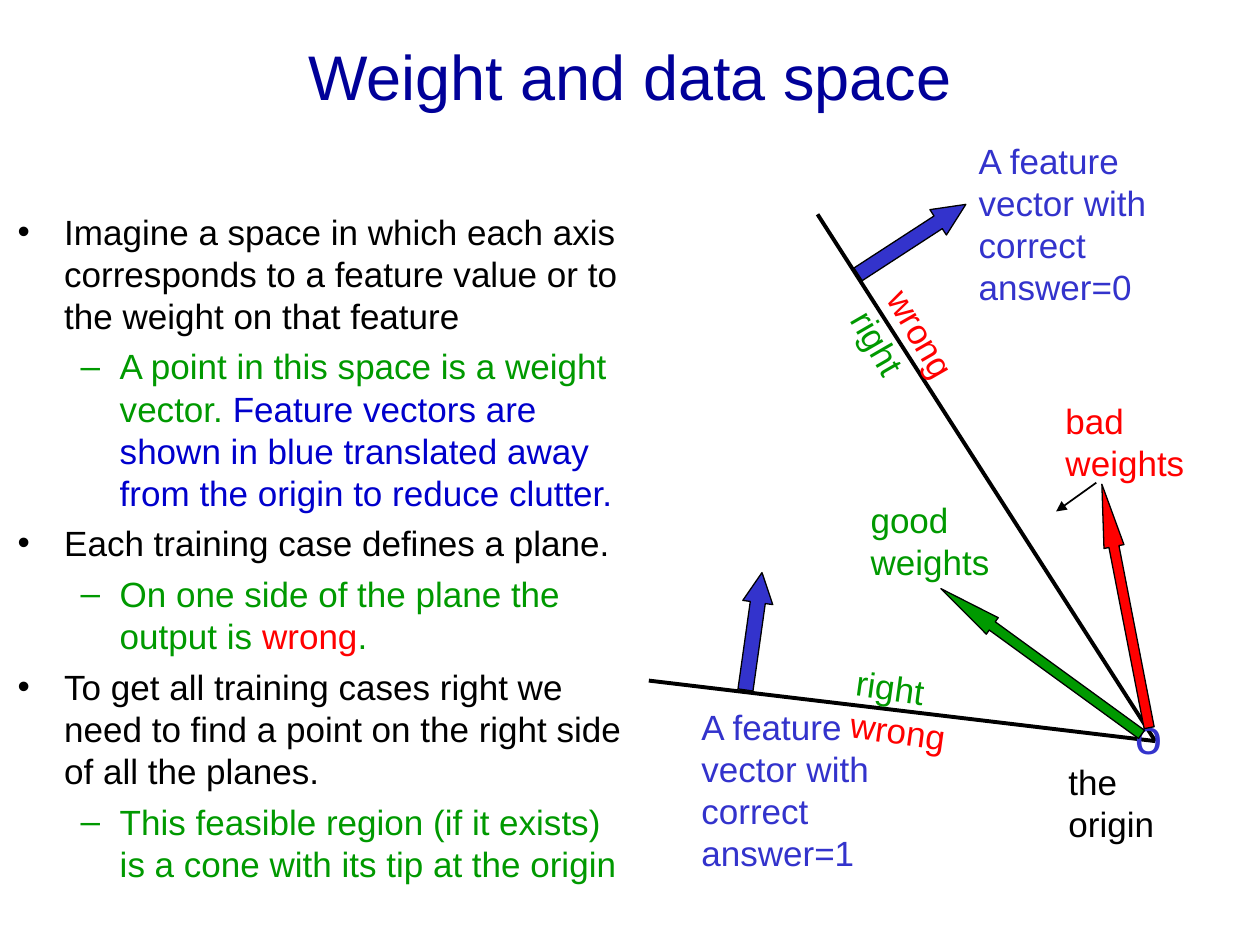
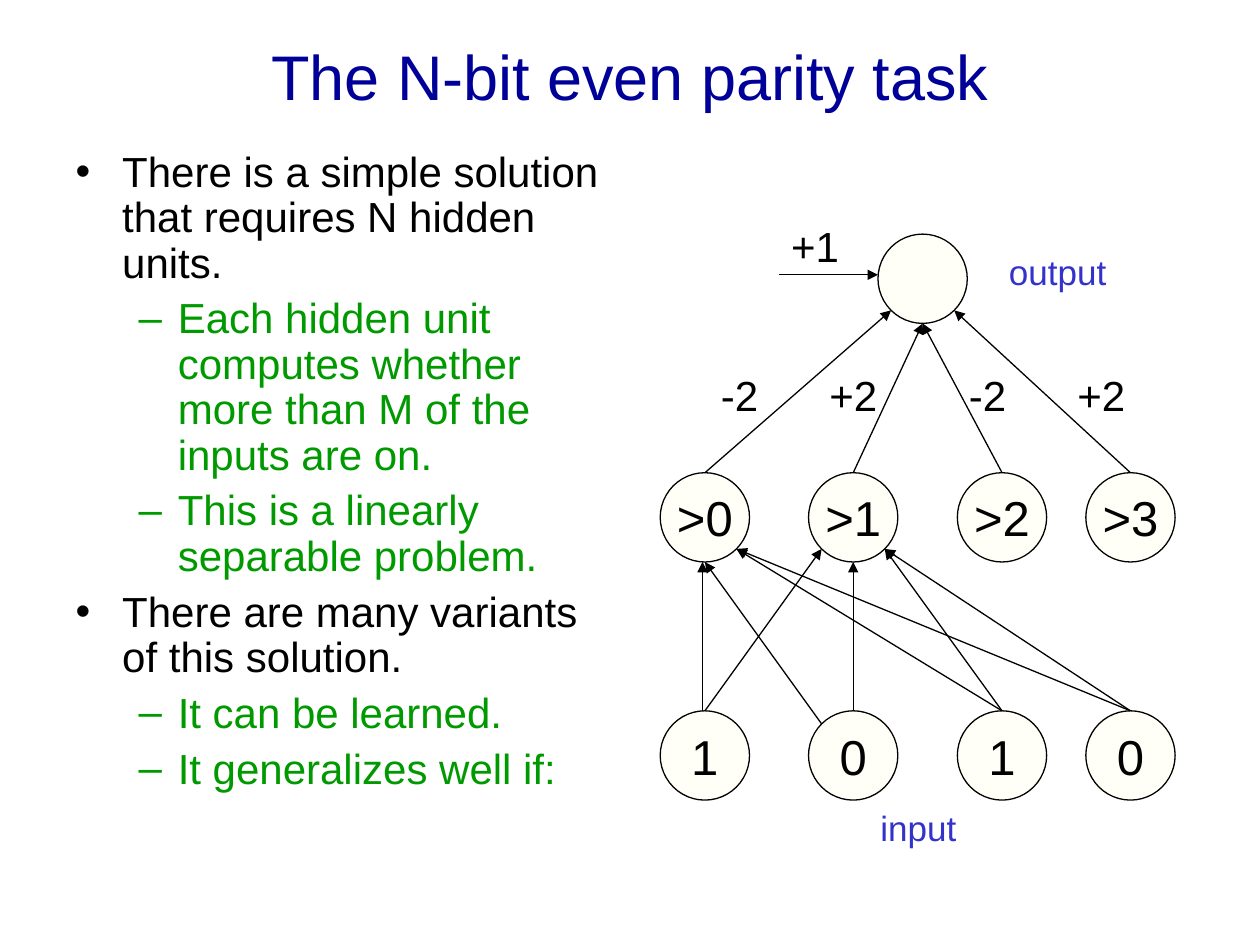
from math import cos, pi, sin

from lxml.etree import SubElement
from pptx import Presentation
from pptx.dml.color import RGBColor
from pptx.enum.shapes import MSO_CONNECTOR as Connector, MSO_SHAPE as Shape
from pptx.enum.text import MSO_ANCHOR as Anchor, MSO_AUTO_SIZE as AutoSize, PP_ALIGN as Align
from pptx.oxml.ns import qn
from pptx.util import Cm, Pt

FONT = "Arial"
BLACK, NAVY, BLUE, INDIGO = "000000", "000099", "0000CC", "3333CC"
GREEN, RED, IVORY = "009900", "FF0000", "FFFFF7"
TITLE_BOX = (1.27, -0.08, 22.86, 3.18)
# Per list level: bullet, its colour, left margin, hanging indent
LEVELS = [("•", BLACK, 0.94, -0.94), ("–", GREEN, 2.06, -0.79)]

# Lists: (level, [(text, colour), ...])
SPACE_TITLE = "Weight and data space"
SPACE_LIST = [
    (0, [("Imagine a space in which each axis corresponds to a feature value "
          "or to the weight on that feature", BLACK)]),
    (1, [("A point in this space is a weight vector. ", GREEN),
         ("Feature vectors are shown in blue translated away from the origin "
          "to reduce clutter.", BLUE)]),
    (0, [("Each training case defines a plane.", BLACK)]),
    (1, [("On one side of the plane the output is ", GREEN), ("wrong", RED), (".", GREEN)]),
    (0, [("To get all training cases right we need to find a point on the "
          "right side of all the planes.", BLACK)]),
    (1, [("This feasible region (if it exists) is a cone with its tip at the origin", GREEN)]),
]
ORIGIN = (23.29, 14.94)
PLANE_ENDS = [(13.08, 13.72), (16.48, 4.32)]
BAD_POINTER = ((22.1, 9.73), (21.29, 10.31))
# Labels: box, rotation, lines of (text, colour)
SPACE_LABELS = [
    ((16.89, 13.34, 2.59, 2.79), 8, [("right", GREEN), ("wrong", RED)]),
    ((16.59, 5.82, 2.59, 2.79), 60, [("wrong", RED), ("right", GREEN)]),
    ((13.89, 14.1, 4.39, 3.66), 0, [("A feature vector with correct answer=1", INDIGO)]),
    ((19.48, 2.69, 4.39, 3.66), 0, [("A feature vector with correct answer=0", INDIGO)]),
    ((21.23, 7.92, 2.9, 1.96), 0, [("bad", RED), ("weights", RED)]),
    ((17.3, 9.93, 2.9, 1.96), 0, [("good", GREEN), ("weights", GREEN)]),
    ((21.29, 15.21, 3.4, 1.12), 0, [("the origin", BLACK)]),
]
# Vectors: box, rotation, head length, colour
VECTORS = [
    ((20.19, 12.01, 5, 0.41), 259, 3.12, RED),
    ((18.49, 13.13, 5, 0.41), 216, 3.12, GREEN),
    ((14, 12.42, 2.39, 0.61), 278, 1, INDIGO),
    ((17.09, 4.52, 2.59, 0.61), 327, 1.09, INDIGO),
]

PARITY_TITLE = "The N-bit even parity task"
PARITY_LIST = [
    (0, [("There is a simple solution that requires N hidden units.", BLACK)]),
    (1, [("Each hidden unit computes whether more than M of the inputs are on.", GREEN)]),
    (1, [("This is a linearly separable problem.", GREEN)]),
    (0, [("There are many variants of this solution.", BLACK)]),
    (1, [("It can be learned.", GREEN)]),
    (1, [("It generalizes well if:", GREEN)]),
]
UNIT_SIZE = 1.8
UNIT_COLUMNS = [13.31, 16.3, 19.3, 21.89]
HIDDEN_TOP, INPUT_TOP = 9.53, 14.33
HIDDEN_UNITS = [">0", ">1", ">2", ">3"]
INPUT_UNITS = ["1", "0", "1", "0"]
OUTPUT_UNIT = (17.7, 4.72)
BIAS_START = (15.7, 5.54)
WEIGHTS = [("-2", 14.91), ("+2", 17.2), ("-2", 19.91), ("+2", 22.2)]
WEIGHT_TOP = 7.32
# Clockwise from the right, in degrees
TOP, TOP_LEFT, BOTTOM, BOTTOM_LEFT, BOTTOM_RIGHT = 270, 225, 90, 135, 45
OUTPUT_SITES = [BOTTOM_LEFT, BOTTOM, BOTTOM, BOTTOM_RIGHT]
# Links: input index, its site, hidden index, its site
INPUT_LINKS = [
    (0, 267, 0, 93), (1, TOP_LEFT, 0, BOTTOM),
    (2, TOP, 0, BOTTOM_RIGHT), (3, TOP, 0, BOTTOM_RIGHT),
    (0, TOP, 1, BOTTOM_LEFT), (1, TOP, 1, BOTTOM),
    (2, TOP, 1, BOTTOM_RIGHT), (3, TOP, 1, BOTTOM_RIGHT),
]


def rgb(color):
    return RGBColor.from_string(color)


def lengths(values):
    return [Cm(value) for value in values]


def write(paragraph, text, size=20, color=BLACK, align=None):
    run = paragraph.add_run()
    run.text = text
    run.font.name, run.font.size = FONT, Pt(size)
    run.font.color.rgb = rgb(color)
    if align is not None:
        paragraph.alignment = align


def move(shape, box):
    shape.left, shape.top, shape.width, shape.height = lengths(box)


def add_label(slide, box, lines, rotation=0, wrap=True, **text_format):
    label = slide.shapes.add_textbox(*lengths(box))
    label.rotation = rotation
    frame = label.text_frame
    frame.word_wrap = wrap
    for index, (text, color) in enumerate(lines):
        paragraph = frame.add_paragraph() if index else frame.paragraphs[0]
        write(paragraph, text, color=color, **text_format)


def add_preset(slide, preset, box, fill):
    shape = slide.shapes.add_shape(preset, *lengths(box))
    shape.shadow.inherit = False
    shape.fill.solid()
    shape.fill.fore_color.rgb = rgb(fill)
    shape.line.color.rgb = rgb(BLACK)
    shape.line.width = Pt(0.75)
    return shape


def add_line(slide, start, end, width=0.75, arrow=True):
    line = slide.shapes.add_connector(Connector.STRAIGHT, *lengths((*start, *end)))
    line.line.color.rgb = rgb(BLACK)
    line.line.width = Pt(width)
    if arrow:
        SubElement(line.line._get_or_add_ln(), qn("a:tailEnd"), type="triangle")
    SubElement(line._element.spPr, qn("a:effectLst"))


def set_bullet(paragraph, level):
    bullet, color, margin, indent = LEVELS[level]
    paragraph.level = level
    properties = paragraph._p.get_or_add_pPr()
    properties.set("marL", str(Cm(margin)))
    properties.set("indent", str(Cm(indent)))
    bullet_color = SubElement(properties, qn("a:buClr"))
    SubElement(bullet_color, qn("a:srgbClr"), val=color)
    SubElement(properties, qn("a:buFont"), typeface=FONT)
    SubElement(properties, qn("a:buChar"), char=bullet)


def add_list_slide(presentation, title, items, box, size, space_before, line_spacing=1.0):
    slide = presentation.slides.add_slide(presentation.slide_layouts[1])
    heading, body = slide.shapes.title, slide.placeholders[1]
    move(heading, TITLE_BOX)
    heading.text_frame.vertical_anchor = Anchor.MIDDLE
    write(heading.text_frame.paragraphs[0], title, size=36, color=NAVY, align=Align.CENTER)
    move(body, box)
    frame = body.text_frame
    frame.auto_size = AutoSize.NONE
    for index, (level, runs) in enumerate(items):
        paragraph = frame.add_paragraph() if index else frame.paragraphs[0]
        paragraph.line_spacing = line_spacing
        paragraph.space_before = Pt(space_before)
        set_bullet(paragraph, level)
        for text, color in runs:
            write(paragraph, text, size=size, color=color)
    return slide


def add_unit(slide, corner, text=""):
    unit = add_preset(slide, Shape.OVAL, (*corner, UNIT_SIZE, UNIT_SIZE), IVORY)
    frame = unit.text_frame
    frame.margin_left = frame.margin_right = frame.margin_top = frame.margin_bottom = 0
    frame.word_wrap = False
    frame.vertical_anchor = Anchor.MIDDLE
    if text:
        write(frame.paragraphs[0], text, size=28, align=Align.CENTER)


def rim(corner, degrees):
    """Point on the rim of the unit whose box starts at corner."""
    radius, angle = UNIT_SIZE / 2, degrees * pi / 180
    return (corner[0] + radius * (1 + cos(angle)), corner[1] + radius * (1 + sin(angle)))


def build_space_slide(presentation):
    slide = add_list_slide(presentation, SPACE_TITLE, SPACE_LIST,
                           (0.1, 4.11, 12.8, 14.6), size=20, space_before=5)
    for end in PLANE_ENDS:
        add_line(slide, end, ORIGIN, width=2.25, arrow=False)
    add_line(slide, *BAD_POINTER, width=1)
    add_label(slide, (22.63, 14.1, 1.04, 1.45), [("o", INDIGO)], wrap=False, size=28)
    for box, rotation, head, color in VECTORS:
        vector = add_preset(slide, Shape.RIGHT_ARROW, box, color)
        vector.rotation = rotation
        vector.adjustments[1] = head
    for box, rotation, lines in SPACE_LABELS:
        add_label(slide, box, lines, rotation)


def build_parity_slide(presentation):
    slide = add_list_slide(presentation, PARITY_TITLE, PARITY_LIST,
                           (1.27, 2.92, 11.23, 14.1), size=24, space_before=6,
                           line_spacing=0.9)
    hidden = [(left, HIDDEN_TOP) for left in UNIT_COLUMNS]
    inputs = [(left, INPUT_TOP) for left in UNIT_COLUMNS]
    for corner, text in zip(hidden + inputs, HIDDEN_UNITS + INPUT_UNITS):
        add_unit(slide, corner, text)
    add_unit(slide, OUTPUT_UNIT)

    for source, source_site, target, target_site in INPUT_LINKS:
        add_line(slide, rim(inputs[source], source_site), rim(hidden[target], target_site))
    for corner, site in zip(hidden, OUTPUT_SITES):
        add_line(slide, rim(corner, TOP), rim(OUTPUT_UNIT, site))
    add_line(slide, BIAS_START, (OUTPUT_UNIT[0], BIAS_START[1]))

    for text, center in WEIGHTS:
        add_label(slide, (center - 0.9, WEIGHT_TOP, 1.8, 1.27), [(text, BLACK)],
                  size=24, align=Align.CENTER)
    add_label(slide, (15.7, 4.32, 1.8, 1.27), [("+1", BLACK)], size=24)
    add_label(slide, (20.09, 4.93, 2.79, 1.12), [("output", INDIGO)])
    add_label(slide, (17.5, 16.13, 2.79, 1.12), [("input", INDIGO)])


def main():
    presentation = Presentation()
    presentation.slide_width, presentation.slide_height = Cm(25.4), Cm(19.05)
    build_space_slide(presentation)
    build_parity_slide(presentation)
    presentation.save("out.pptx")


if __name__ == "__main__":
    main()
